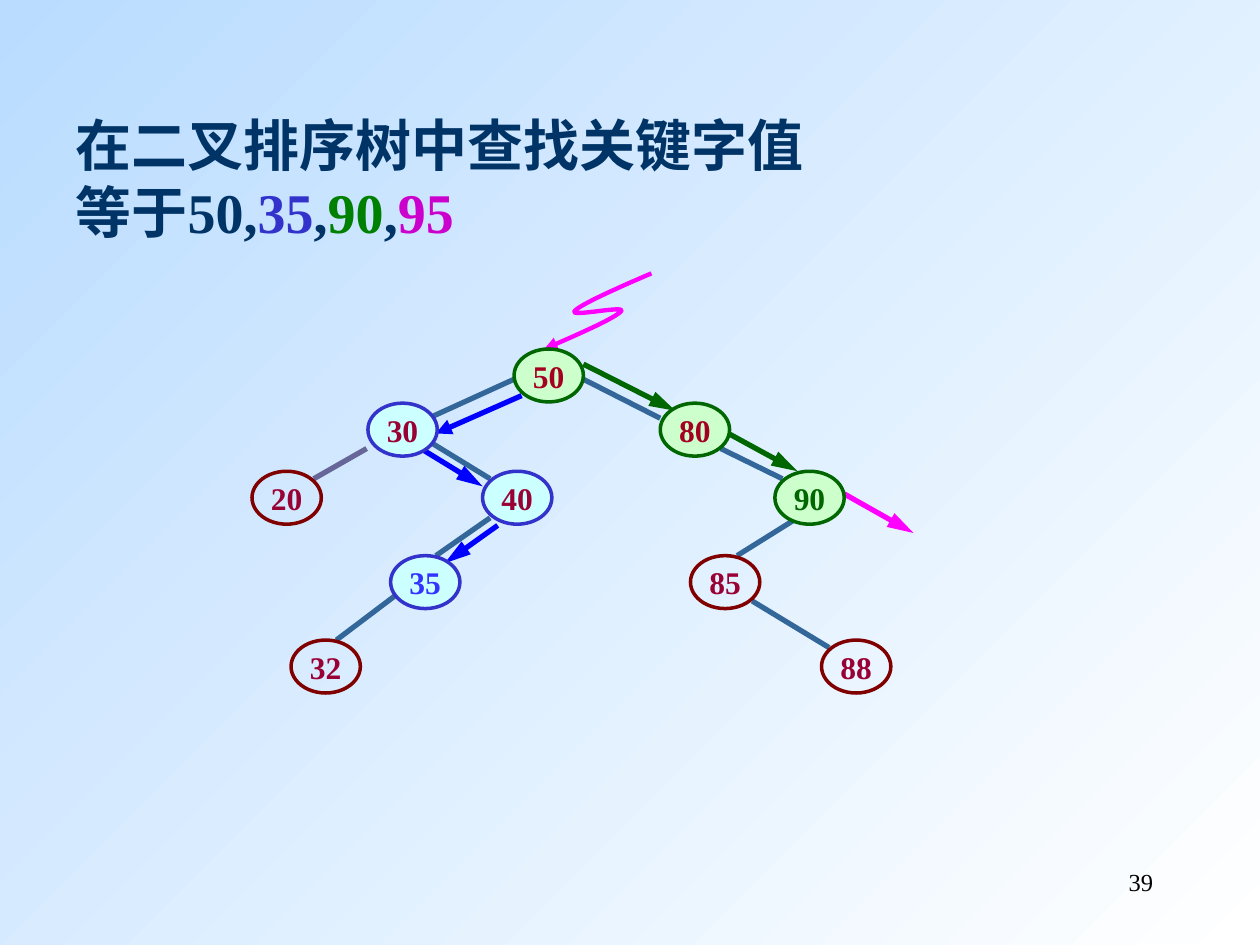
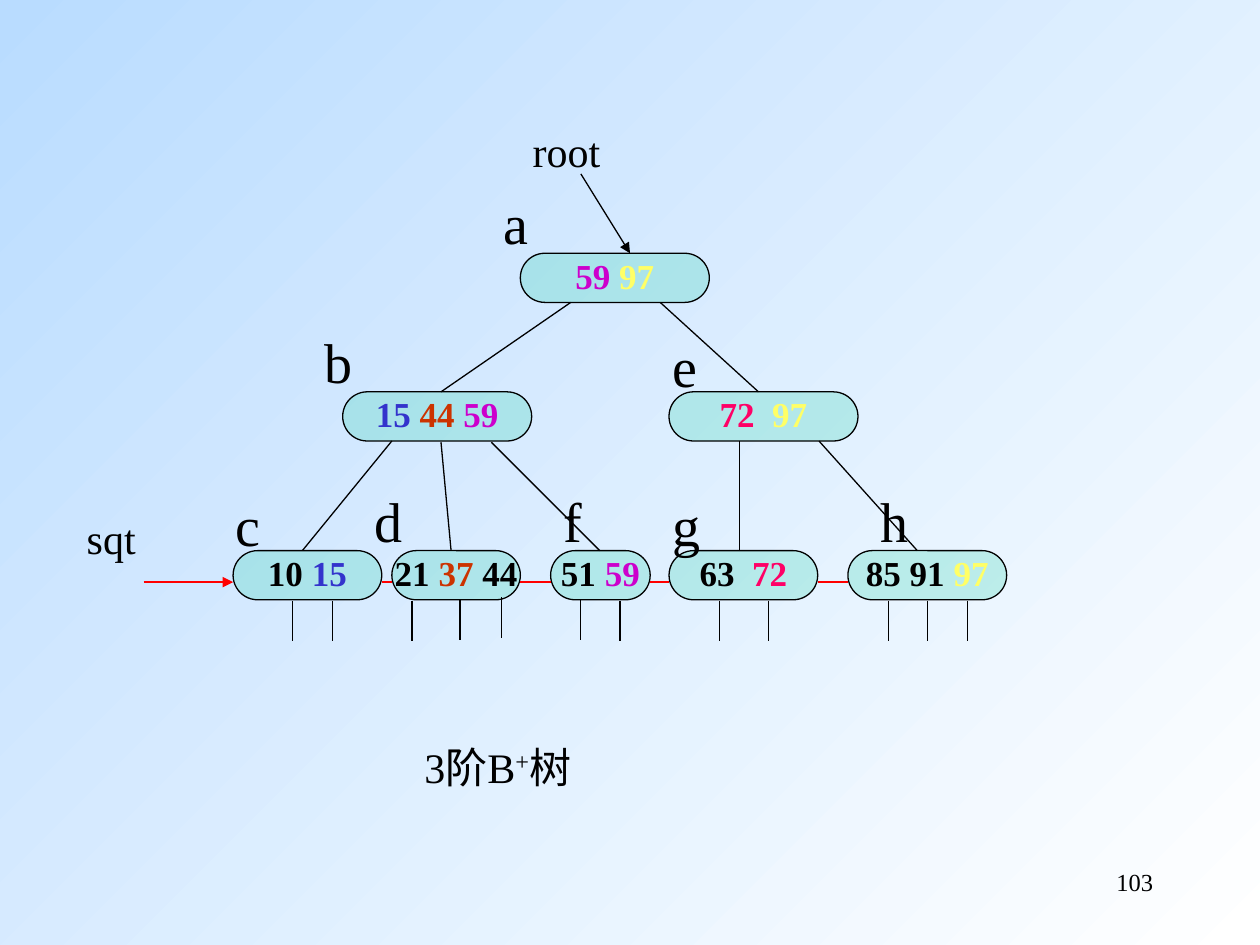
import pptx
import pptx.dml.color
import pptx.enum.shapes
import pptx.enum.text
import pptx.oxml.ns
import pptx.util
from lxml import etree

Inches = pptx.util.Inches
Pt = pptx.util.Pt
ALIGN = pptx.enum.text.PP_ALIGN
ANCHOR = pptx.enum.text.MSO_ANCHOR
SHAPE = pptx.enum.shapes.MSO_SHAPE
FONT = "Times New Roman"

COLOURS = {
    "sky": "B9DCFF", "white": "FFFFFF", "black": "000000", "navy": "003366",
    "indigo": "3333CC", "green": "008000", "purple": "CC00CC",
    "maroon": "800000", "wine": "990033", "crimson": "A50021",
    "steel": "336699", "slate": "666699", "blue": "0000FF",
    "bright indigo": "3333FF", "pale cyan": "CCFFFF", "pale green": "CCFFCC",
    "dark green": "006600", "magenta": "FF00FF", "teal": "00CC99",
    "yellow": "FFFF66", "rust": "CC3300", "pink": "FF0066", "red": "FF0000",
}

NODE_WIDTH, NODE_HEIGHT = 0.55, 0.42
# fill and outline of a tree node
NODE_STYLES = {
    "plain": (None, "maroon"),
    "left path": ("pale cyan", "indigo"),
    "right path": ("pale green", "dark green"),
}
# key, left, top, style, text colour
TREE_NODES = [
    ("20", 2, 3.74, "plain", "wine"),
    ("85", 5.48, 4.41, "plain", "wine"),
    ("88", 6.52, 5.08, "plain", "wine"),
    ("32", 2.31, 5.08, "plain", "wine"),
    ("30", 2.92, 3.2, "left path", "wine"),
    ("40", 3.83, 3.74, "left path", "wine"),
    ("35", 3.1, 4.41, "left path", "bright indigo"),
    ("50", 4.08, 2.77, "right path", "crimson"),
    ("80", 5.24, 3.2, "right path", "crimson"),
    ("90", 6.15, 3.74, "right path", "dark green"),
]
# colour, arrowhead length, segments
TREE_LINES = [
    ("steel", None, [
        ((4.08, 3.01), (3.4, 3.32)), ((4.63, 3.01), (5.24, 3.32)),
        ((3.4, 3.5), (3.89, 3.8)), ((3.89, 4.11), (3.46, 4.41)),
        ((5.72, 3.56), (6.21, 3.8)), ((6.33, 4.11), (5.85, 4.41)),
        ((5.97, 4.77), (6.58, 5.14)), ((3.16, 4.71), (2.67, 5.08)),
    ]),
    ("slate", None, [((2.91, 3.56), (2.49, 3.8))]),
    ("blue", "med", [((4.14, 3.14), (3.46, 3.44))]),
    ("blue", "lg", [
        ((3.34, 3.56), (3.83, 3.86)), ((3.95, 4.17), (3.53, 4.47)),
    ]),
    ("dark green", "lg", [
        ((4.63, 2.89), (5.36, 3.26)), ((5.78, 3.44), (6.33, 3.74)),
    ]),
    ("magenta", "lg", [((6.7, 3.92), (7.25, 4.23))]),
]
ENTRY_START = (5.17, 2.17)
ENTRY_CURVES = [
    ((4.89, 2.29), (4.6, 2.42), (4.56, 2.47)),
    ((4.52, 2.52), (4.97, 2.42), (4.93, 2.47)),
    ((4.89, 2.52), (4.6, 2.65), (4.32, 2.77)),
]

PILL_HEIGHT = 0.39
LEAF_TOP = 4.37
WIDE_GAP = (" ", {"spacing": 5})
# left, top, width, keys
INDEX_BLOCKS = [
    (4.13, 2.01, 1.5, [("59 ", "purple"), ("97", "yellow")]),
    (2.72, 3.11, 1.5, [("15 ", "indigo"), ("44 ", "rust"), ("59", "purple")]),
    (5.31, 3.11, 1.5, [("72", "pink"), WIDE_GAP, ("97", "yellow")]),
]
# left, width, keys
LEAVES = [
    (1.85, 1.18, [("10 ", "black"), ("15", "indigo")]),
    (3.11, 1.02, [("21 ", "black"), ("37", "rust"), (" 44", "black")]),
    (4.37, 0.79, [("51 ", "black"), ("59", "purple")]),
    (5.31, 1.18, [("63", "black"), WIDE_GAP, ("72", "pink")]),
    (6.73, 1.26, [("85 91 ", "black"), ("97", "yellow")]),
]
BLOCK_LABELS = [
    ("a", 3.9, 1.51), ("b", 2.48, 2.61), ("e", 5.24, 2.64), ("c", 1.77, 3.9),
    ("d", 2.87, 3.87), ("f", 4.37, 3.87), ("g", 5.24, 3.9), ("h", 6.89, 3.87),
]
BRANCHES = [
    ((4.53, 2.4), (3.5, 3.11)), ((5.24, 2.4), (6.02, 3.11)),
    ((3.11, 3.5), (2.4, LEAF_TOP)), ((3.5, 3.51), (3.58, LEAF_TOP)),
    ((3.9, 3.51), (4.76, LEAF_TOP)), ((5.87, 3.5), (5.87, LEAF_TOP)),
    ((6.5, 3.5), (7.28, LEAF_TOP)),
]
# top of the record pointers and where they stand
RECORD_POINTERS = {
    4.77: [2.32, 2.64, 3.27, 4.92, 5.71, 6.1, 7.05, 7.36, 7.68],
    4.76: [3.65, 4.61],
    4.74: [3.98],
}


def colour(name):
    return pptx.dml.color.RGBColor.from_string(COLOURS[name])


def write_text(shape, lines, size=18, ink="black", bold=False, align=ALIGN.LEFT,
               anchor=ANCHOR.TOP, wrap=True, line_spacing=None):
    """Fill a shape with lines, each a list of (text, colour name or options)."""
    frame = shape.text_frame
    frame.word_wrap = wrap
    frame.vertical_anchor = anchor
    for number, spans in enumerate(lines):
        para = frame.add_paragraph() if number else frame.paragraphs[0]
        para.alignment = align
        if line_spacing:
            para.line_spacing = line_spacing
        for text, look in spans:
            options = look if isinstance(look, dict) else {"ink": look}
            span = para.add_run()
            span.text = text
            span.font.name = FONT
            span.font.size = Pt(size)
            span.font.bold = bold
            span.font.color.rgb = colour(options.get("ink", ink))
            properties = span._r.get_or_add_rPr()
            if "spacing" in options:
                properties.set("spc", str(options["spacing"] * 100))
            if "baseline" in options:
                properties.set("baseline", str(options["baseline"] * 1000))


def add_text(page, left, top, width, height, lines, **text_format):
    box = page.shapes.add_textbox(
        Inches(left), Inches(top), Inches(width), Inches(height))
    write_text(box, lines, **text_format)


def add_key_shape(page, kind, left, top, width, height, fill, line, line_width,
                  spans, **text_format):
    """Draw an outlined shape with one centred line of bold keys."""
    shape = page.shapes.add_shape(
        kind, Inches(left), Inches(top), Inches(width), Inches(height))
    shape.shadow.inherit = False
    if fill:
        shape.fill.solid()
        shape.fill.fore_color.rgb = colour(fill)
    else:
        shape.fill.background()
    shape.line.color.rgb = colour(line)
    shape.line.width = Pt(line_width)
    write_text(shape, [spans], bold=True, align=ALIGN.CENTER,
               anchor=ANCHOR.MIDDLE, wrap=False, **text_format)
    return shape


def style_line(shape, ink, width, arrow):
    """Set colour and width; arrow is the length of the arrowhead, if any."""
    shape.line.color.rgb = colour(ink)
    shape.line.width = Pt(width)
    if arrow:
        tail = etree.SubElement(
            shape.line._get_or_add_ln(), pptx.oxml.ns.qn("a:tailEnd"))
        tail.set("type", "triangle")
        tail.set("len", arrow)


def add_line(page, start, end, ink="black", width=0.75, arrow=None):
    points = [Inches(value) for value in (*start, *end)]
    line = page.shapes.add_connector(
        pptx.enum.shapes.MSO_CONNECTOR.STRAIGHT, *points)
    style_line(line, ink, width, arrow)
    etree.SubElement(line._element.spPr, pptx.oxml.ns.qn("a:effectLst"))


def curve_points(start, controls, steps=16):
    """Sample a cubic Bezier curve, leaving out its start."""
    weights = (1, 3, 3, 1)
    anchors = (start, *controls)
    for step in range(1, steps + 1):
        t = step / steps
        yield tuple(
            sum(weight * (1 - t) ** (3 - power) * t ** power * anchor[axis]
                for power, (weight, anchor) in enumerate(zip(weights, anchors)))
            for axis in (0, 1))


def add_entry_arrow(page):
    points = [ENTRY_START]
    for controls in ENTRY_CURVES:
        points.extend(curve_points(points[-1], controls))
    start, *rest = [(Inches(x), Inches(y)) for x, y in points]
    builder = page.shapes.build_freeform(*start)
    builder.add_line_segments(rest, close=False)
    curve = builder.convert_to_shape()
    curve.shadow.inherit = False
    curve.fill.background()
    style_line(curve, "magenta", 2.5, "med")


def add_node(page, key, left, top, style, ink):
    fill, line = NODE_STYLES[style]
    add_key_shape(page, SHAPE.OVAL, left, top, NODE_WIDTH, NODE_HEIGHT,
                  fill, line, 2, [(key, ink)])


def add_pill(page, left, top, width, keys):
    pill = add_key_shape(page, SHAPE.ROUNDED_RECTANGLE, left, top, width,
                         PILL_HEIGHT, "teal", "black", 0.75, keys,
                         size=20, line_spacing=0.9)
    pill.adjustments[0] = 0.5
    tint = pill.fill._xPr.find(".//" + pptx.oxml.ns.qn("a:srgbClr"))
    etree.SubElement(tint, pptx.oxml.ns.qn("a:alpha")).set("val", "20000")


def add_page(deck, number):
    """Add a blank page with the shared background and page number."""
    page = deck.slides.add_slide(deck.slide_layouts[6])
    fill = page.background.fill
    fill.gradient()
    fill.gradient_angle = 315
    for stop, name in zip(fill.gradient_stops, ("sky", "white")):
        stop.color.rgb = colour(name)
    add_text(page, 7.17, 6.83, 2.08, 0.5, [[(number, "black")]],
             size=14, align=ALIGN.RIGHT)
    return page


def build_search_page(deck):
    page = add_page(deck, "39")
    add_text(page, 0.5, 0.83, 6.67, 1.17, [
        [("在二叉排序树中查找关键字值", "navy")],
        [("等于50,", "navy"), ("35", "indigo"), (",", "navy"),
         ("90", "green"), (",", "navy"), ("95", "purple")],
    ], size=32, bold=True)
    for ink, arrow, segments in TREE_LINES:
        for start, end in segments:
            add_line(page, start, end, ink, 3, arrow)
    add_entry_arrow(page)
    for node in TREE_NODES:
        add_node(page, *node)


def build_index_page(deck):
    page = add_page(deck, "103")
    for block in INDEX_BLOCKS:
        add_pill(page, *block)
    for left, width, keys in LEAVES:
        add_pill(page, left, LEAF_TOP, width, keys)
    for label, left, top in BLOCK_LABELS:
        add_text(page, left, top, 0.39, 0.58, [[(label, "black")]],
                 size=32, line_spacing=0.9)
    captions = [
        (4.13, 0.99, 1.57, [("root", "black")]),
        (0.59, 4.06, 1.3, [("sqt", "black")]),
        (3.27, 5.88, 2.99,
         [("3阶B", "black"), ("+", {"baseline": 30}), ("树", "black")]),
    ]
    for left, top, width, spans in captions:
        add_text(page, left, top, width, 0.46, [spans],
                 size=24, line_spacing=0.9)

    add_line(page, (4.61, 1.38), (5, 2.01), arrow="med")
    for start, end in BRANCHES:
        add_line(page, start, end)
    chain = 4.62
    add_line(page, (1.14, chain), (LEAVES[0][0], chain), "red", arrow="med")
    for (left, width, _), (following, _, _) in zip(LEAVES, LEAVES[1:]):
        add_line(page, (left + width, chain), (following, chain), "red")
    for top, places in RECORD_POINTERS.items():
        for x in places:
            add_line(page, (x, top), (x, top + 0.32))


def main():
    deck = pptx.Presentation()
    deck.slide_width, deck.slide_height = Inches(10), Inches(7.5)
    build_search_page(deck)
    build_index_page(deck)
    deck.save("out.pptx")


if __name__ == "__main__":
    main()
